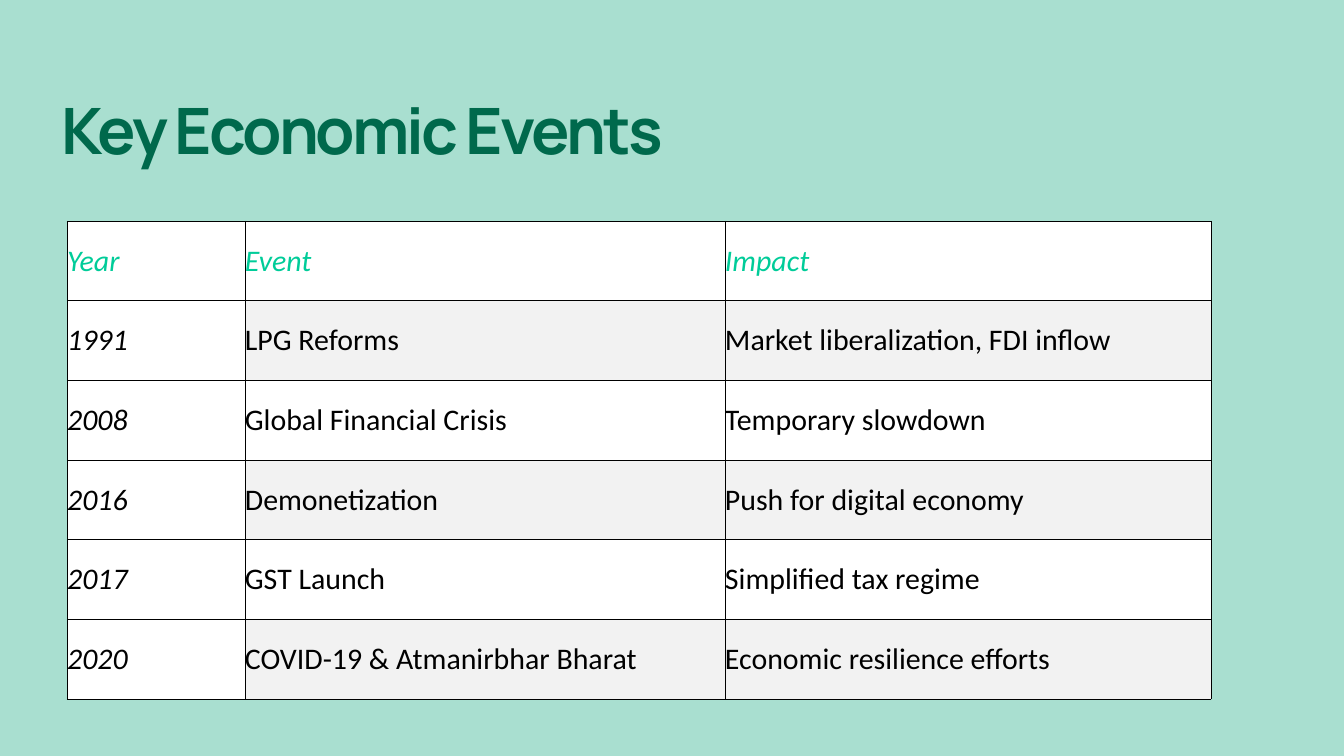
from lxml.etree import SubElement
from pptx import Presentation
from pptx.dml.color import RGBColor
from pptx.enum.text import MSO_ANCHOR, MSO_AUTO_SIZE, PP_ALIGN
from pptx.oxml.ns import qn
from pptx.util import Pt

TITLE = "Key Economic Events"
EVENTS = [
    ("Year", "Event", "Impact"),
    ("1991", "LPG Reforms", "Market liberalization, FDI inflow"),
    ("2008", "Global Financial Crisis", "Temporary slowdown"),
    ("2016", "Demonetization", "Push for digital economy"),
    ("2017", "GST Launch", "Simplified tax regime"),
    ("2020", "COVID-19 & Atmanirbhar Bharat", "Economic resilience efforts"),
]
COLORS = {
    "background": "A9DFD0",
    "title": "00694C",
    "header": "00CC99",
    "text": "000000",
    "border": "000000",
    "plain": "FFFFFF",
    "band": "F2F2F2",
}
COLUMN_WIDTHS = [190.4, 514.4, 520.6]
ROW_HEIGHT = 85.3
TABLE_LEFT, TABLE_TOP = 72, 237
BORDER_WIDTH = 0.8

TITLE_BOX = {"left": Pt(65.5), "top": Pt(118), "width": Pt(705), "height": Pt(67)}
NO_MARGINS = {f"margin_{side}": 0 for side in ("left", "right", "top", "bottom")}
TITLE_FRAME = {
    **NO_MARGINS,
    "word_wrap": True,
    "vertical_anchor": MSO_ANCHOR.TOP,
    "auto_size": MSO_AUTO_SIZE.SHAPE_TO_FIT_TEXT,
}
TITLE_PARAGRAPH = {"alignment": PP_ALIGN.LEFT, "line_spacing": Pt(61.7)}
TITLE_FONT = {"name": "Manrope", "size": Pt(68.5), "bold": True}
CELL_FORMAT = {**NO_MARGINS, "vertical_anchor": MSO_ANCHOR.MIDDLE}
CELL_FONT = {"name": "Calibri", "size": Pt(32), "bold": False}
TABLE_FLAGS = {"first_row": False, "horz_banding": False}


def apply_format(target, values):
    for name, value in values.items():
        setattr(target, name, value)


def color(name):
    return RGBColor.from_string(COLORS[name])


def fill_solid(fill, name):
    fill.solid()
    fill.fore_color.rgb = color(name)


def add_borders(cell):
    properties = cell._tc.get_or_add_tcPr()
    for index, side in enumerate(("lnL", "lnR", "lnT", "lnB")):
        line = SubElement(properties, qn(f"a:{side}"), w=str(Pt(BORDER_WIDTH)))
        solid = SubElement(line, qn("a:solidFill"))
        SubElement(solid, qn("a:srgbClr"), val=COLORS["border"])
        properties.insert(index, line)


def add_title(slide):
    title = slide.shapes.title
    apply_format(title, TITLE_BOX)
    apply_format(title.text_frame, TITLE_FRAME)
    paragraph = title.text_frame.paragraphs[0]
    apply_format(paragraph, TITLE_PARAGRAPH)
    run = paragraph.add_run()
    run.text = TITLE
    apply_format(run.font, TITLE_FONT)
    run.font.color.rgb = color("title")
    run._r.get_or_add_rPr().set("spc", "-310")


def add_events_table(slide):
    table = slide.shapes.add_table(
        len(EVENTS), len(COLUMN_WIDTHS), Pt(TABLE_LEFT), Pt(TABLE_TOP),
        Pt(sum(COLUMN_WIDTHS)), Pt(ROW_HEIGHT * len(EVENTS)),
    ).table
    apply_format(table, TABLE_FLAGS)
    for column, width in zip(table.columns, COLUMN_WIDTHS):
        column.width = Pt(width)
    for row_index, event in enumerate(EVENTS):
        table.rows[row_index].height = Pt(ROW_HEIGHT)
        for column_index, text in enumerate(event):
            cell = table.cell(row_index, column_index)
            apply_format(cell, CELL_FORMAT)
            banded = row_index % 2 == 1 and column_index > 0
            fill_solid(cell.fill, "band" if banded else "plain")
            add_borders(cell)
            run = cell.text_frame.paragraphs[0].add_run()
            run.text = text
            apply_format(run.font, CELL_FONT)
            run.font.italic = row_index == 0 or column_index == 0
            run.font.color.rgb = color("text" if row_index else "header")


def main():
    presentation = Presentation()
    apply_format(presentation, {"slide_width": Pt(1440), "slide_height": Pt(810)})
    slide = presentation.slides.add_slide(presentation.slide_layouts[5])
    fill_solid(slide.background.fill, "background")
    add_title(slide)
    add_events_table(slide)
    presentation.save("out.pptx")


if __name__ == "__main__":
    main()
